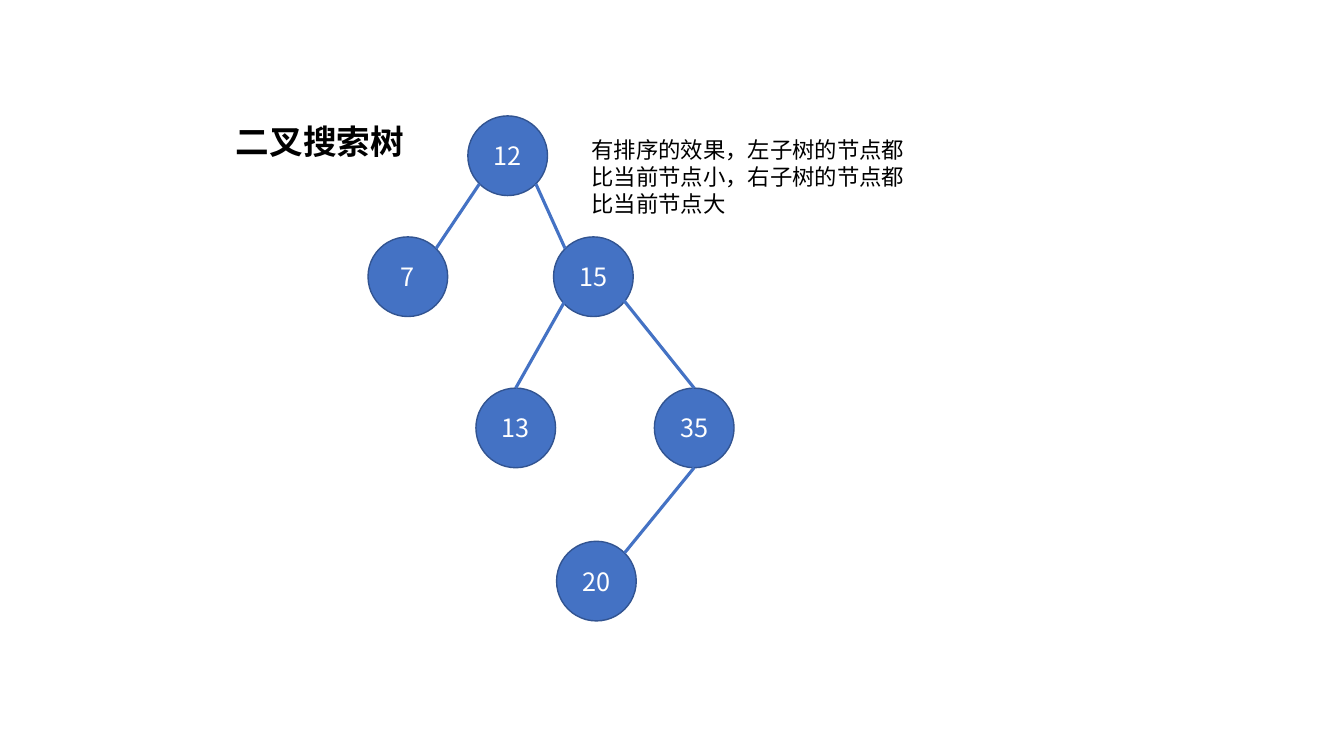
import pptx
import pptx.dml.color
import pptx.enum.shapes
import pptx.enum.text
import pptx.oxml.ns
import pptx.util
from lxml import etree

Inches = pptx.util.Inches
Pt = pptx.util.Pt

COLORS = {"node": "4472C4", "outline": "325491", "label": "FFFFFF", "text": "000000"}
FONT = "Noto Sans CJK SC"
DIAMETER = 0.79
DIAGONAL = 0.28  # offset of a circle's 45-degree points from its centre

# value: left and top within the tree
NODES = {
    "20": (1.87, 4.22),
    "12": (0.99, 0),
    "13": (1.07, 2.7),
    "35": (2.84, 2.7),
    "15": (1.84, 1.2),
    "7": (0, 1.2),
}

BOTTOM_LEFT = (-DIAGONAL, DIAGONAL)
BOTTOM_RIGHT = (DIAGONAL, DIAGONAL)
TOP_LEFT = (-DIAGONAL, -DIAGONAL)
TOP_RIGHT = (DIAGONAL, -DIAGONAL)
TOP = (0, -DIAMETER / 2)
BOTTOM = (0, DIAMETER / 2)

# parent, offset from its centre, child, offset from its centre
EDGES = [
    ("12", BOTTOM_LEFT, "7", TOP_RIGHT),
    ("12", BOTTOM_RIGHT, "15", TOP_LEFT),
    ("15", (-0.27, 0.22), "13", TOP),
    ("15", (0.29, 0.22), "35", TOP),
    ("35", BOTTOM, "20", TOP_RIGHT),
]


def rgb(name):
    return pptx.dml.color.RGBColor.from_string(COLORS[name])


def add_run(paragraph, text, size, color, bold=False):
    run = paragraph.add_run()
    run.text = text
    run.font.size = Pt(size)
    run.font.bold = bold
    run.font.name = FONT
    run.font.color.rgb = rgb(color)
    east_asian = etree.SubElement(run.font._element, pptx.oxml.ns.qn("a:ea"))
    east_asian.set("typeface", FONT)


def add_node(slide, value, left, top):
    node = slide.shapes.add_shape(
        pptx.enum.shapes.MSO_SHAPE.OVAL,
        Inches(left), Inches(top), Inches(DIAMETER), Inches(DIAMETER))
    node.shadow.inherit = False
    node.fill.solid()
    node.fill.fore_color.rgb = rgb("node")
    node.line.color.rgb = rgb("outline")
    node.line.width = Pt(1)
    node.text_frame.vertical_anchor = pptx.enum.text.MSO_ANCHOR.MIDDLE
    label = node.text_frame.paragraphs[0]
    label.alignment = pptx.enum.text.PP_ALIGN.CENTER
    add_run(label, value, 18, "label")
    return node


def add_tree(slide, left, top):
    nodes = {value: add_node(slide, value, left + x, top + y)
             for value, (x, y) in NODES.items()}

    def point(value, offset):
        return [Inches(origin + place + DIAMETER / 2 + shift)
                for origin, place, shift in zip((left, top), NODES[value], offset)]

    for parent, start, child, end in EDGES:
        edge = slide.shapes.add_connector(
            pptx.enum.shapes.MSO_CONNECTOR.STRAIGHT,
            *point(parent, start), *point(child, end))
        if end == TOP:
            edge.end_connect(nodes[child], 0)
        edge.line.color.rgb = rgb("node")
        edge.line.width = Pt(2.25)
        etree.SubElement(edge._element.spPr, pptx.oxml.ns.qn("a:effectLst"))


def add_title(slide, left, top, width, height):
    title = slide.shapes.title
    title.left, title.top = Inches(left), Inches(top)
    title.width, title.height = Inches(width), Inches(height)
    frame = title.text_frame
    frame.word_wrap = True
    frame.auto_size = pptx.enum.text.MSO_AUTO_SIZE.NONE
    frame.vertical_anchor = pptx.enum.text.MSO_ANCHOR.TOP
    heading = frame.paragraphs[0]
    heading.alignment = pptx.enum.text.PP_ALIGN.LEFT
    add_run(heading, "二叉搜索树", 24, "text", bold=True)


def add_explanation(slide, left, top, width, height):
    explanation = slide.shapes.add_textbox(
        Inches(left), Inches(top), Inches(width), Inches(height))
    explanation.text_frame.word_wrap = True
    add_run(explanation.text_frame.paragraphs[0],
            "有排序的效果，左子树的节点都比当前节点小，右子树的节点都比当前节点大",
            16, "text")


def main():
    deck = pptx.Presentation()
    deck.slide_width, deck.slide_height = Inches(13.33), Inches(7.5)
    slide = deck.slides.add_slide(deck.slide_layouts.get_by_name("Title Only"))
    add_tree(slide, 3.65, 1.15)
    add_title(slide, 2.24, 1.15, 2.19, 0.5)
    add_explanation(slide, 5.77, 1.3, 3.33, 1.21)
    deck.save("out.pptx")


if __name__ == "__main__":
    main()
